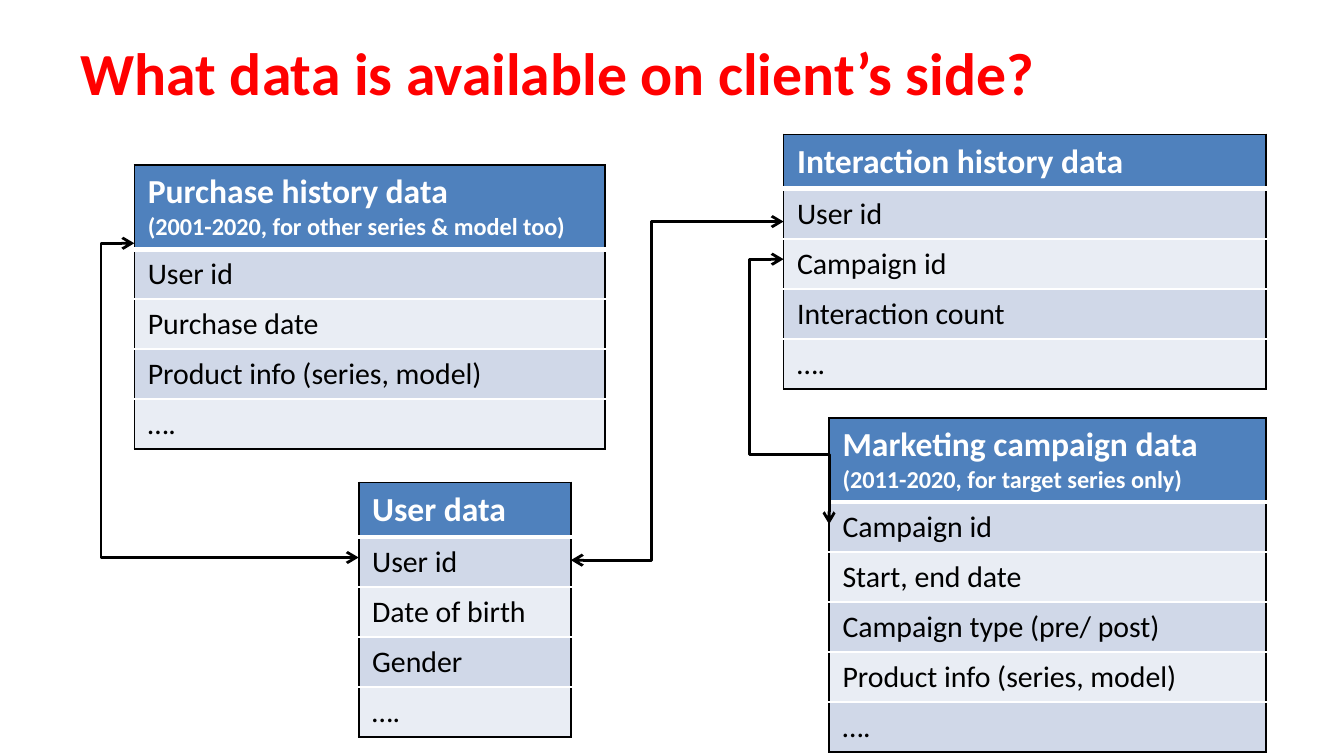
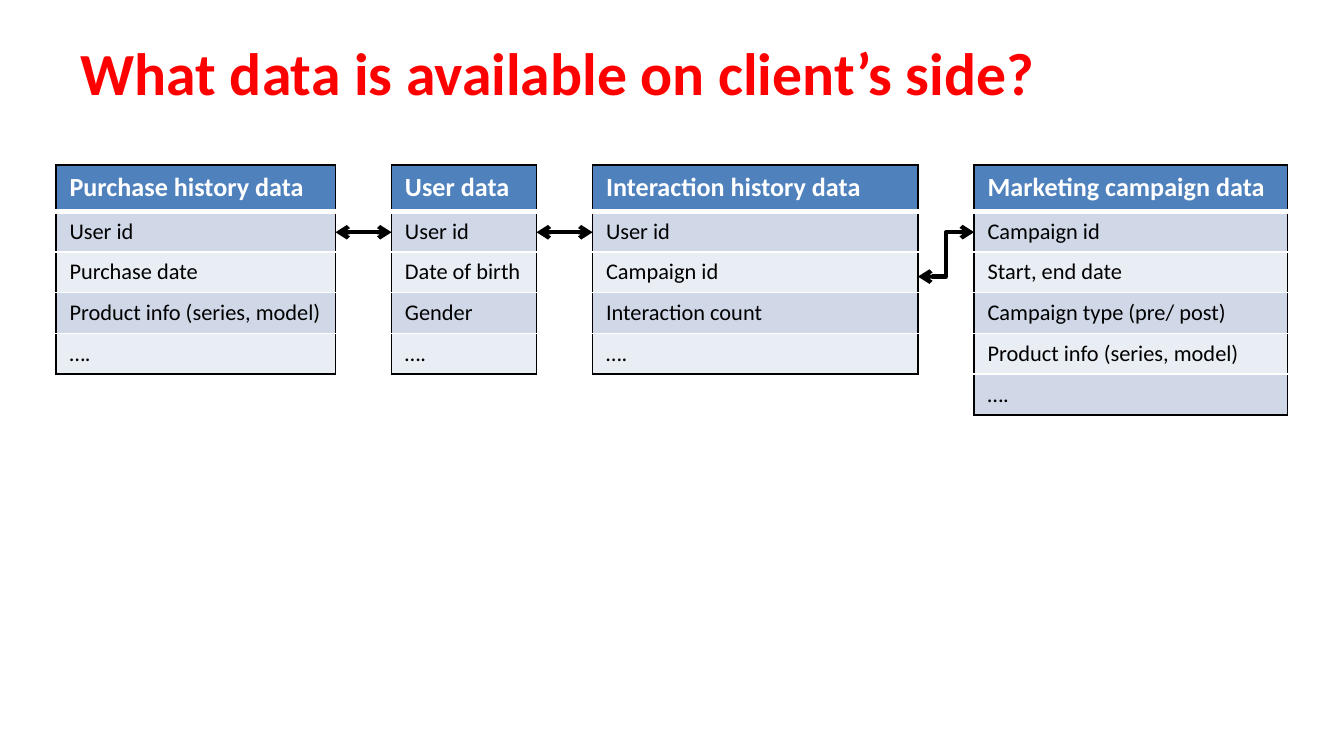
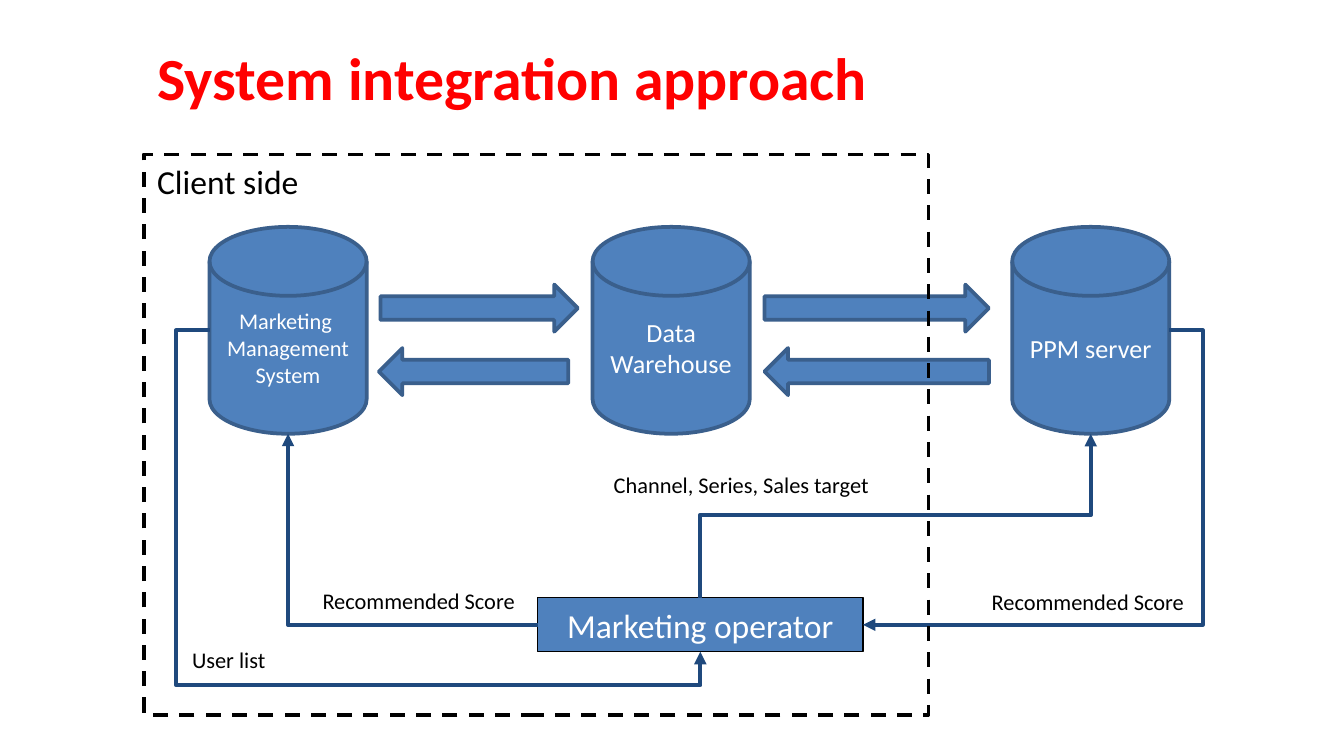
from lxml import etree
from pptx import Presentation
from pptx.dml.color import RGBColor
from pptx.enum.dml import MSO_LINE
from pptx.enum.shapes import MSO_CONNECTOR, MSO_SHAPE
from pptx.enum.text import MSO_ANCHOR, PP_ALIGN
from pptx.oxml.ns import qn
from pptx.util import Cm, Pt

FONT = "Calibri"
RED, BLACK, WHITE = "FF0000", "000000", "FFFFFF"
BLUE, EDGE, NAVY = "4F81BD", "3A5F8C", "1F497D"
BANDS = ("D0D8E8", "E9EDF4")

USER = ("User data", ["User id", "Date of birth", "Gender", "…."])
PURCHASE = ("Purchase history data",
            ["User id", "Purchase date", "Product info (series, model)", "…."])
INTERACTION = ("Interaction history data",
               ["User id", "Campaign id", "Interaction count", "…."])
CAMPAIGN = ("Marketing campaign data",
            ["Campaign id", "Start, end date", "Campaign type (pre/ post)",
             "Product info (series, model)", "…."])
DATA_TITLE = "What data is available on client’s side?"


def rgb(color):
    return RGBColor.from_string(color)


def child(parent, tag, **attrs):
    return etree.SubElement(parent, qn(tag), attrs)


def add_run(p, text, size, color, bold=False):
    r = p.add_run()
    r.text = text
    r.font.name = FONT
    r.font.size = Pt(size)
    r.font.bold = bold
    r.font.color.rgb = rgb(color)


def write(tf, lines, size, color, align=PP_ALIGN.LEFT):
    for i, line in enumerate(lines):
        p = tf.add_paragraph() if i else tf.paragraphs[0]
        p.alignment = align
        add_run(p, line, size, color)


def add_titled_slide(prs, title, left, top, width, height):
    s = prs.slides.add_slide(prs.slide_layouts[5])
    sp = s.shapes.title
    sp.left, sp.top, sp.width, sp.height = map(Cm, (left, top, width, height))
    sp.text_frame.vertical_anchor = MSO_ANCHOR.MIDDLE
    p = sp.text_frame.paragraphs[0]
    p.alignment = PP_ALIGN.LEFT
    add_run(p, title, 32, RED, True)
    return s


def set_borders(cell, top, bottom):
    """Black sides; top and bottom are (colour, points)."""
    tc_pr = cell._tc.get_or_add_tcPr()
    side = (BLACK, 1)
    for tag, (color, width) in zip(("a:lnL", "a:lnR", "a:lnT", "a:lnB"),
                                   (side, side, top, bottom)):
        ln = child(tc_pr, tag, w=str(Pt(width)))
        child(child(ln, "a:solidFill"), "a:srgbClr", val=color)


def add_entity(s, entity, left, top, width, head_h, row_h, head_size, size, note=None):
    """Table with a header, an optional note under it, and banded fields."""
    name, fields = entity
    last = len(fields)
    height = head_h + row_h * last
    table = s.shapes.add_table(last + 1, 1, Cm(left), Cm(top), Cm(width), Cm(height)).table
    for i, text in enumerate([name] + fields):
        table.rows[i].height = Cm(row_h if i else head_h)
        cell = table.cell(i, 0)
        above = (BLACK, 1) if i == 0 else (WHITE, 3 if i == 1 else 1)
        below = (BLACK, 1) if i == last else (WHITE, 1 if i else 3)
        set_borders(cell, above, below)
        cell.fill.solid()
        cell.fill.fore_color.rgb = rgb(BANDS[(i - 1) % 2] if i else BLUE)
        tf = cell.text_frame
        if i:
            add_run(tf.paragraphs[0], text, size, BLACK)
        else:
            add_run(tf.paragraphs[0], text, head_size, WHITE, True)
            if note:
                add_run(tf.add_paragraph(), note, 13, WHITE, True)


def add_route(s, points, color, width, head=None, tail=None):
    """Straight or bent connector through right-angled points."""
    (x0, y0), (x1, y1) = points[0], points[-1]
    dx, dy = x1 - x0, y1 - y0
    bends = len(points) - 2
    upright = bends and points[0][0] == points[1][0]
    begin, end = (x0, y0), (x1, y1)
    if upright:
        cx, cy = (x0 + x1) / 2, (y0 + y1) / 2
        begin = (cx + dy / 2, cy - dx / 2)
        end = (cx - dy / 2, cy + dx / 2)
    kind = MSO_CONNECTOR.ELBOW if bends else MSO_CONNECTOR.STRAIGHT
    c = s.shapes.add_connector(kind, *map(Cm, begin + end))
    c.line.color.rgb = rgb(color)
    c.line.width = Pt(width)
    sp_pr = c.element.spPr
    if upright:
        sp_pr.find(qn("a:xfrm")).set("rot", str(270 * 60000))
    if bends:
        geom = sp_pr.find(qn("a:prstGeom"))
        geom.set("prst", f"bentConnector{bends + 1}")
        guides = geom.find(qn("a:avLst"))
        if guides is None:
            guides = child(geom, "a:avLst")
        for i in range(1, bends):
            horizontal = (i % 2 == 1) != bool(upright)
            share = (points[i][0] - x0) / dx if horizontal else (points[i][1] - y0) / dy
            child(guides, "a:gd", name=f"adj{i}", fmla=f"val {round(share * 100000)}")
    ln = c.line._get_or_add_ln()
    for tag, arrow in (("a:headEnd", head), ("a:tailEnd", tail)):
        if arrow:
            child(ln, tag, type=arrow)
    child(sp_pr, "a:effectLst")


def add_link(s, points, width):
    add_route(s, points, BLACK, width, "arrow", "arrow")


def add_box(s, kind, left, top, width, height, fill=BLUE, edge=EDGE, edge_width=2):
    sp = s.shapes.add_shape(kind, Cm(left), Cm(top), Cm(width), Cm(height))
    sp.shadow.inherit = False
    if fill:
        sp.fill.solid()
        sp.fill.fore_color.rgb = rgb(fill)
    else:
        sp.fill.background()
    sp.line.color.rgb = rgb(edge)
    sp.line.width = Pt(edge_width)
    return sp


def add_label(s, text, left, top, width, align):
    tf = s.shapes.add_textbox(Cm(left), Cm(top), Cm(width), Cm(0.76)).text_frame
    tf.word_wrap = True
    write(tf, [text], 12, BLACK, align)


def add_data_details(s):
    for entity, left, top, width, note in (
            (USER, 6.78, 9.12, 4.01, None),
            (CAMPAIGN, 15.67, 7.9, 8.26, "(2011-2020, for target series only)"),
            (PURCHASE, 2.54, 3.12, 8.89, "(2001-2020, for other series & model too)"),
            (INTERACTION, 14.81, 2.54, 9.12, None)):
        add_entity(s, entity, left, top, width, 1.57 if note else 1.02, 0.94, 18, 16, note)
    for points in (
            [(6.78, 10.54), (1.91, 10.54), (1.91, 4.6), (2.54, 4.6)],
            [(10.79, 10.59), (12.32, 10.59), (12.32, 4.19), (14.81, 4.19)],
            [(14.81, 4.9), (14.17, 4.9), (14.17, 8.59), (15.67, 8.59), (15.67, 9.91)]):
        add_link(s, points, 1.5)


def add_data_chain(s, left, top, gap):
    """Entities side by side, each linked to the next one."""
    key_y = top + 1.27
    chain = ((PURCHASE, 5.28), (USER, 2.74), (INTERACTION, 6.15), (CAMPAIGN, 5.92))
    for i, (entity, width) in enumerate(chain):
        add_entity(s, entity, left, top, width, 0.87, 0.77, 14, 12)
        right = left + width
        left = right + gap
        if i < 2:
            add_link(s, [(right, key_y), (left, key_y)], 2.25)
        elif i == 2:
            mid, low = right + gap / 2, key_y + 0.84
            add_link(s, [(right, low), (mid, low), (mid, key_y), (left, key_y)], 2.25)


def add_integration(s, left, top, width, height):
    """Systems, their exchanges and the operator, around the client's frame."""
    disk_w, disk_h, disk_y = 2.97, 3.91, top + 1.37
    marketing, warehouse, server = (left + dx for dx in (1.24, 8.48, 16.41))
    for x, lines, size in ((marketing, ["Marketing ", "Management", "System"], 12),
                           (warehouse, ["Data Warehouse"], 14),
                           (server, ["PPM server"], 14)):
        sp = add_box(s, MSO_SHAPE.FLOWCHART_MAGNETIC_DISK, x, disk_y, disk_w, disk_h)
        write(sp.text_frame, lines, size, WHITE, PP_ALIGN.CENTER)

    for kind, dy, spans in ((MSO_SHAPE.RIGHT_ARROW, 2.46, ((4.47, 3.73), (11.73, 4.24))),
                            (MSO_SHAPE.LEFT_ARROW, 3.66, ((4.44, 3.58), (11.73, 4.24)))):
        for dx, length in spans:
            add_box(s, kind, left + dx, top + dy, length, 0.89)

    op_x, op_y, op_w, op_h = left + 7.44, top + 8.38, 6.15, 1.02
    sp = add_box(s, MSO_SHAPE.RECTANGLE, op_x, op_y, op_w, op_h, edge=BLACK, edge_width=0.75)
    write(sp.text_frame, ["Marketing operator"], 18, WHITE, PP_ALIGN.CENTER)

    op_cx, op_cy, op_end = op_x + op_w / 2, op_y + op_h / 2, op_x + op_w
    disk_cy, disk_end = disk_y + disk_h / 2, disk_y + disk_h
    marketing_cx, server_cx = marketing + disk_w / 2, server + disk_w / 2
    server_end = server + disk_w
    target_y, list_y = top + 6.81, op_y + op_h + 0.63
    outer_left, outer_right = marketing - 0.63, server_end + 0.63
    for points in (
            [(op_cx, op_y), (op_cx, target_y), (server_cx, target_y), (server_cx, disk_end)],
            [(server_end, disk_cy), (outer_right, disk_cy), (outer_right, op_cy),
             (op_end, op_cy)],
            [(op_x, op_cy), (marketing_cx, op_cy), (marketing_cx, disk_end)],
            [(marketing, disk_cy), (outer_left, disk_cy), (outer_left, list_y),
             (op_cx, list_y), (op_cx, op_y + op_h)]):
        add_route(s, points, NAVY, 2.25, tail="triangle")

    for text, dx, dy, w, align in (
            ("Channel, Series, Sales target", 8.63, 5.87, 5.56, PP_ALIGN.LEFT),
            ("Recommended Score", 12.01, 8.08, 7.9, PP_ALIGN.RIGHT),
            ("Recommended Score", 2.64, 8.05, 5.11, PP_ALIGN.CENTER),
            ("User list", 0.66, 9.17, 7.9, PP_ALIGN.LEFT)):
        add_label(s, text, left + dx, top + dy, w, align)

    frame = add_box(s, MSO_SHAPE.RECTANGLE, left, top, width, height, None, BLACK)
    frame.line.dash_style = MSO_LINE.DASH
    frame.text_frame.vertical_anchor = MSO_ANCHOR.TOP
    write(frame.text_frame, ["Client side"], 18, BLACK)


def main():
    prs = Presentation()
    prs.slide_width, prs.slide_height = Cm(25.4), Cm(14.29)
    data_title_box = (1.27, 0.15, 22.86, 2.39)
    add_data_details(add_titled_slide(prs, DATA_TITLE, *data_title_box))
    add_data_chain(add_titled_slide(prs, DATA_TITLE, *data_title_box), 1.06, 3.12, 1.06)
    s = add_titled_slide(prs, "System integration approach", 2.72, 0.38, 21.41, 2.13)
    add_integration(s, 2.72, 2.92, 14.83, 10.59)
    prs.save("out.pptx")


if __name__ == "__main__":
    main()
